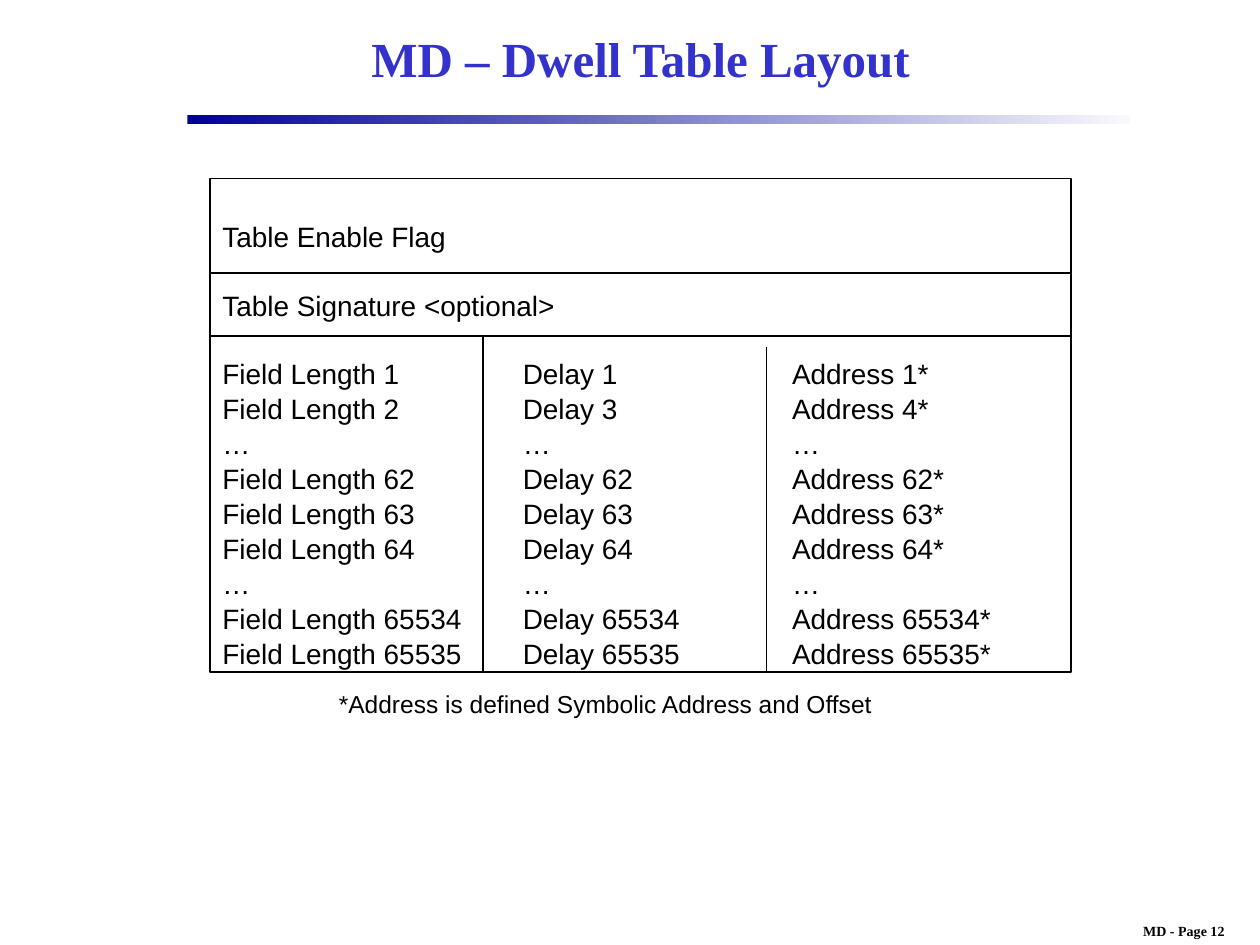
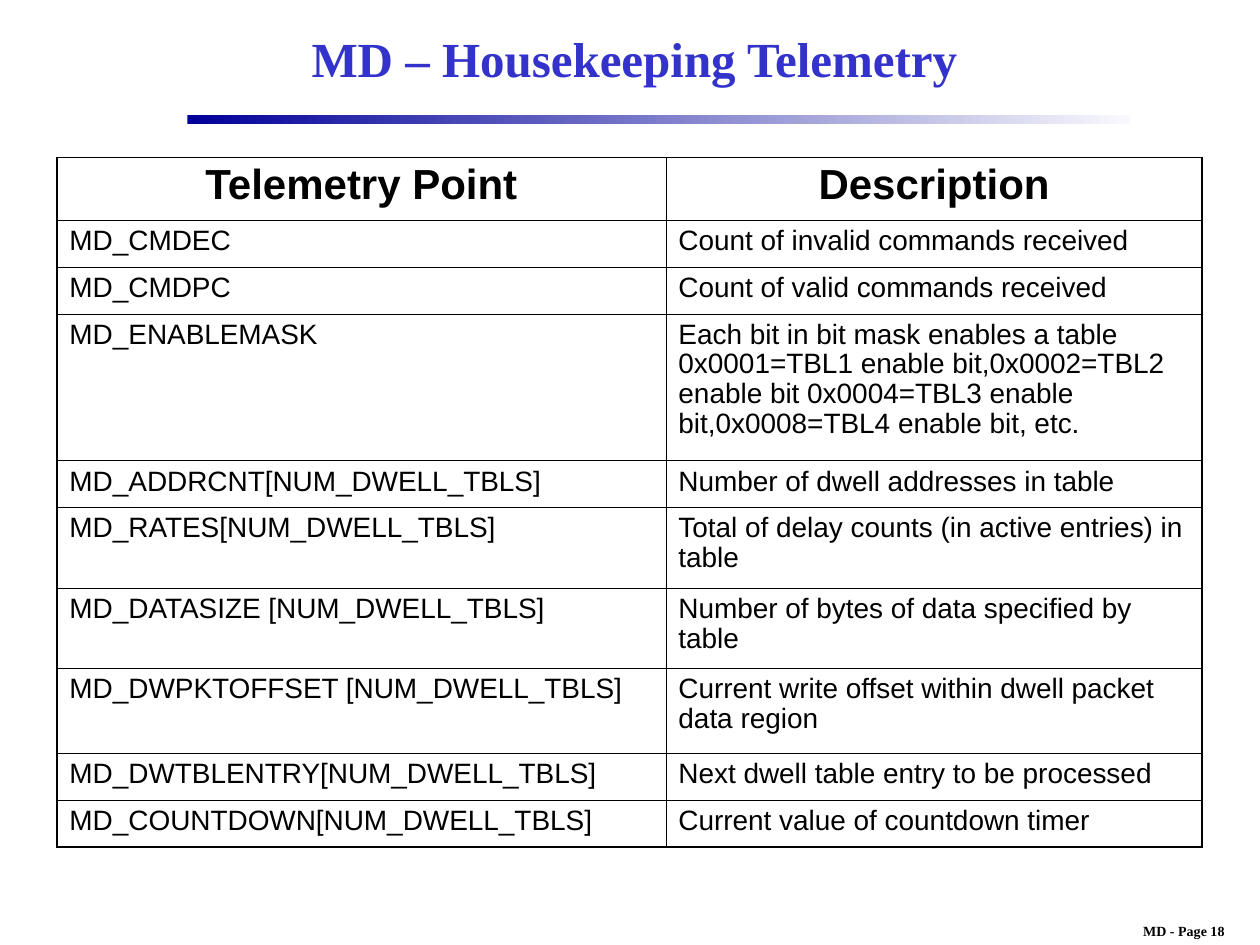
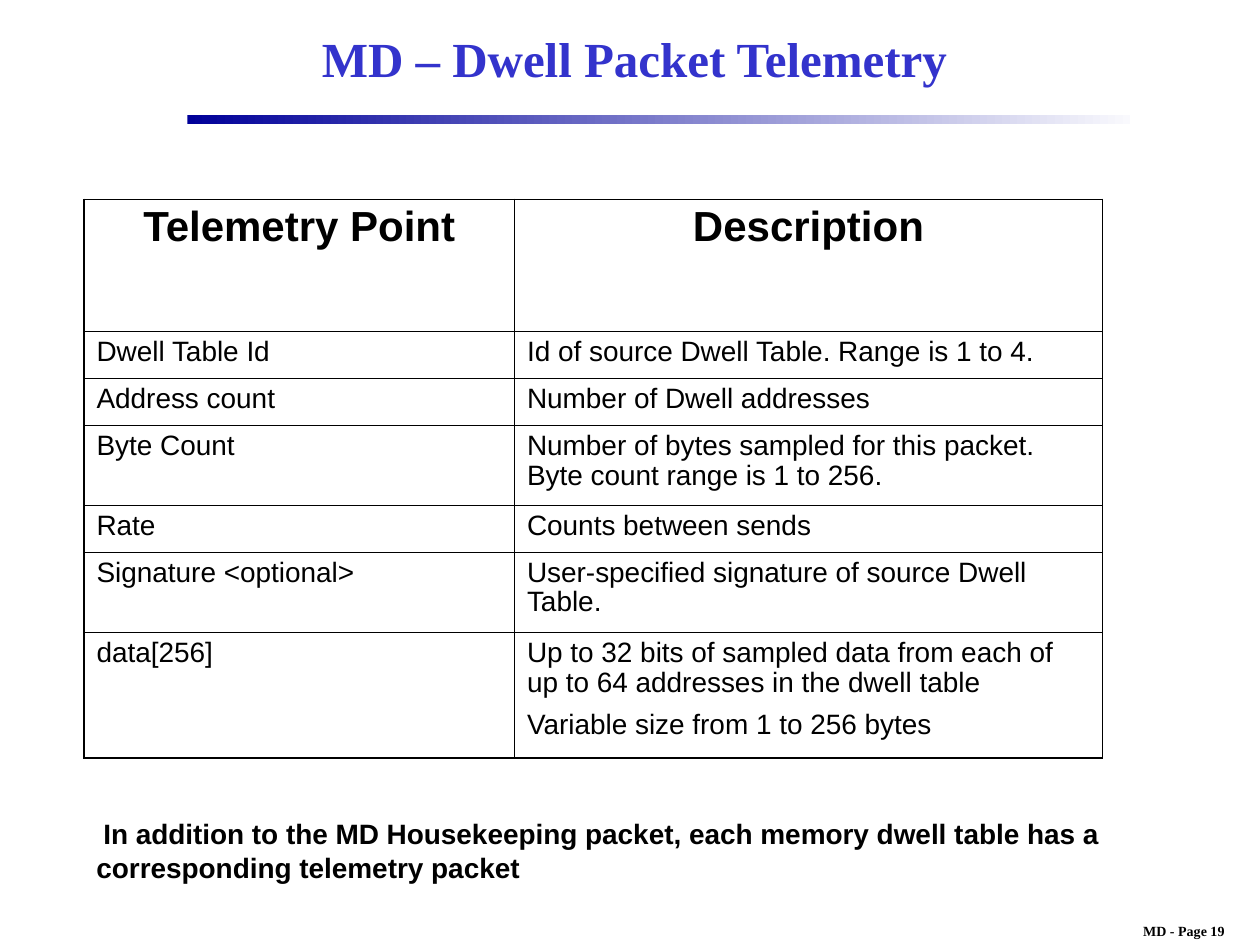
from lxml import etree
from pptx import Presentation
from pptx.dml.color import RGBColor
from pptx.enum.shapes import MSO_CONNECTOR, MSO_SHAPE
from pptx.enum.text import MSO_ANCHOR, PP_ALIGN
from pptx.oxml.ns import qn
from pptx.util import Pt

BLACK = RGBColor(0x00, 0x00, 0x00)
WHITE = RGBColor(0xFF, 0xFF, 0xFF)
TITLE = RGBColor(0x33, 0x33, 0xCC)
NAVY = RGBColor(0x00, 0x00, 0x99)
PALE = RGBColor(0xF9, 0xF9, 0xFD)
SANS, SERIF = "Arial", "Times New Roman"
CENTER, MIDDLE = PP_ALIGN.CENTER, MSO_ANCHOR.MIDDLE
RECT, STRAIGHT = MSO_SHAPE.RECTANGLE, MSO_CONNECTOR.STRAIGHT
THIN, THICK = 0.45, 1.08
LOOSE, TIGHT = 1.04, 0.96
TABS = (171.7, 325.5)

FIELDS = [
    "Table Enable Flag",
    "Table Signature <optional>",
    "Field Length 1\tDelay 1\tAddress 1*",
    "Field Length 2\tDelay 3\tAddress 4*",
    "…\t…\t…",
    "Field Length 62\tDelay 62\tAddress 62*",
    "Field Length 63\tDelay 63\tAddress 63*",
    "Field Length 64\tDelay 64\tAddress 64*",
    "…\t…\t…",
    "Field Length 65534\tDelay 65534\tAddress 65534*",
    "Field Length 65535\tDelay 65535\tAddress 65535*",
]
HEAD = ("Telemetry Point", "Description")
HOUSE = [
    HEAD,
    ("MD_CMDEC", "Count of invalid commands received"),
    ("MD_CMDPC", "Count of valid commands received"),
    ("MD_ENABLEMASK",
     "Each bit in bit mask enables a table 0x0001=TBL1 enable bit,0x0002=TBL2 "
     "enable bit 0x0004=TBL3 enable bit,0x0008=TBL4 enable bit, etc."),
    ("MD_ADDRCNT[NUM_DWELL_TBLS]", "Number of dwell addresses in table"),
    ("MD_RATES[NUM_DWELL_TBLS]",
     "Total of delay counts (in active entries) in table"),
    ("MD_DATASIZE [NUM_DWELL_TBLS]",
     "Number of bytes of data specified by table"),
    ("MD_DWPKTOFFSET [NUM_DWELL_TBLS]",
     "Current write offset within dwell packet data region"),
    ("MD_DWTBLENTRY[NUM_DWELL_TBLS]", "Next dwell table entry to be processed"),
    ("MD_COUNTDOWN[NUM_DWELL_TBLS]", "Current value of countdown timer"),
]
PACKET = [
    HEAD,
    ("Dwell Table Id", "Id of source Dwell Table. Range is 1 to 4."),
    ("Address count", "Number of Dwell addresses"),
    ("Byte Count",
     "Number of bytes sampled for this packet. Byte count range is 1 to 256."),
    ("Rate", "Counts between sends"),
    ("Signature <optional>", "User-specified signature of source Dwell Table."),
    ("data[256]",
     "Up to 32 bits of sampled data from each of up to 64 addresses in the "
     "dwell table\nVariable size from 1 to 256 bytes"),
]


def style(frame, size, font=SANS, color=BLACK, bold=False, align=None, space=None):
    for para in frame.paragraphs:
        para.alignment = align
        para.line_spacing = space
        for run in para.runs:
            run.font.size = Pt(size)
            run.font.name = font
            run.font.bold = bold
            run.font.color.rgb = color


def add_text(slide, text, box, size, wrap=True, **look):
    frame = slide.shapes.add_textbox(*map(Pt, box)).text_frame
    frame.word_wrap = wrap
    frame.text = text
    style(frame, size, **look)
    return frame


def add_band(slide, layout):
    """Draw the fading band and move it to the layout, for every slide."""
    band = slide.shapes.add_shape(RECT, Pt(107), Pt(66), Pt(539), Pt(5))
    band.shadow.inherit = False
    band.line.fill.background()
    band.fill.gradient()
    band.fill.gradient_angle = 0
    for stop, color in zip(band.fill.gradient_stops, (NAVY, PALE)):
        stop.color.rgb = color
    layout.shapes._spTree.append(band._element)


def new_slide(deck, layout, title, page):
    slide = deck.slides.add_slide(layout)
    head = slide.shapes.title
    head.left, head.top, head.width, head.height = map(Pt, (108, 6, 516, 54))
    head.text_frame.text = title
    head.text_frame.vertical_anchor = MIDDLE
    style(head.text_frame, 28, SERIF, TITLE, True, CENTER)
    add_text(slide, f"MD - Page {page}", (633, 523.4, 87, 16.6), 8, False,
             font=SERIF, bold=True, align=CENTER)
    return slide


def add_line(slide, start, end, width):
    line = slide.shapes.add_connector(STRAIGHT, *map(Pt, start + end))
    line.line.color.rgb = BLACK
    line.line.width = Pt(width)
    etree.SubElement(line._element.spPr, qn("a:effectLst"))


def set_tabs(para, stops):
    tabs = etree.SubElement(para._p.get_or_add_pPr(), qn("a:tabLst"))
    for stop in stops:
        etree.SubElement(tabs, qn("a:tab"), pos=str(Pt(stop)), algn="l")


def set_edges(cell, widths):
    """Rule the left, right, top and bottom edges of a cell."""
    props = cell._tc.get_or_add_tcPr()
    for place, (side, width) in enumerate(zip("LRTB", widths)):
        edge = etree.Element(qn(f"a:ln{side}"), w=str(Pt(width)))
        fill = etree.SubElement(edge, qn("a:solidFill"))
        etree.SubElement(fill, qn("a:srgbClr"), val=str(BLACK))
        props.insert(place, edge)


def add_grid(slide, data, left, top, widths, heights):
    rows, cols = len(data), len(widths)
    grid = slide.shapes.add_table(rows, cols, Pt(left), Pt(top),
                                  Pt(sum(widths)), Pt(sum(heights))).table
    grid.first_row = grid.horz_banding = False
    for col, width in zip(grid.columns, widths):
        col.width = Pt(width)
    for row, height in zip(grid.rows, heights):
        row.height = Pt(height)
    for r, texts in enumerate(data):
        for c, text in enumerate(texts):
            cell = grid.cell(r, c)
            cell.fill.background()
            outer = (c == 0, c == cols - 1, r == 0, r == rows - 1)
            set_edges(cell, [THICK if out else THIN for out in outer])
            cell.margin_left = cell.margin_right = Pt(7.2)
            cell.margin_top = cell.margin_bottom = Pt(3.6)
            frame = cell.text_frame
            frame.text = text
            if r == 0:
                style(frame, 24, bold=True, align=CENTER, space=TIGHT)
            else:
                style(frame, 16, space=TIGHT)
            for para in frame.paragraphs[1:]:
                para.space_before = Pt(7)


def add_layout(slide):
    """Draw the framed plan of a dwell table."""
    left, right, top, base = 120, 612, 102, 384
    frame = slide.shapes.add_shape(RECT, Pt(left), Pt(top),
                                   Pt(right - left), Pt(base - top))
    frame.shadow.inherit = False
    frame.fill.solid()
    frame.fill.fore_color.rgb = WHITE
    frame.line.color.rgb = BLACK
    frame.line.width = Pt(1)
    text = add_text(slide, "\n".join(FIELDS), (left, 121.4, 486, 250), 16,
                    space=LOOSE)
    for para in text.paragraphs[1:3]:
        para.space_before = Pt(19.1)
    for para in text.paragraphs[2:]:
        set_tabs(para, TABS)
    for y in (156, 192):
        add_line(slide, (left, y), (right, y), 1)
    for x, y in ((276, 192), (438, 198)):
        add_line(slide, (x, y), (x, base), 0.75)
    add_text(slide, "*Address is defined Symbolic Address and Offset",
             (186.5, 390, 320.5, 24.5), 14, False)


def main():
    deck = Presentation()
    deck.slide_width, deck.slide_height = Pt(720), Pt(540)
    layout = deck.slide_layouts[5]

    slide = new_slide(deck, layout, "MD – Dwell Table Layout", 12)
    add_band(slide, layout)
    add_layout(slide)

    slide = new_slide(deck, layout, "MD – Housekeeping Telemetry ", 18)
    add_grid(slide, HOUSE, 32.5, 90, (348, 306.5),
             (36, 26.7, 26.7, 84, 26.7, 46, 46, 48.7, 26.7, 26.7))

    slide = new_slide(deck, layout, "MD – Dwell Packet Telemetry ", 19)
    add_grid(slide, PACKET, 48, 114, (246, 336),
             (75.6, 26.7, 26.7, 45.8, 26.7, 45.8, 72))
    note = add_text(slide, "In addition to the MD Housekeeping packet, each memory "
                    "dwell table has a corresponding telemetry packet",
                    (48, 462, 612, 46), 16, bold=True, space=LOOSE)
    note.paragraphs[0]._p.get_or_add_pPr().set("indent", str(Pt(4)))

    deck.save("out.pptx")


if __name__ == "__main__":
    main()
